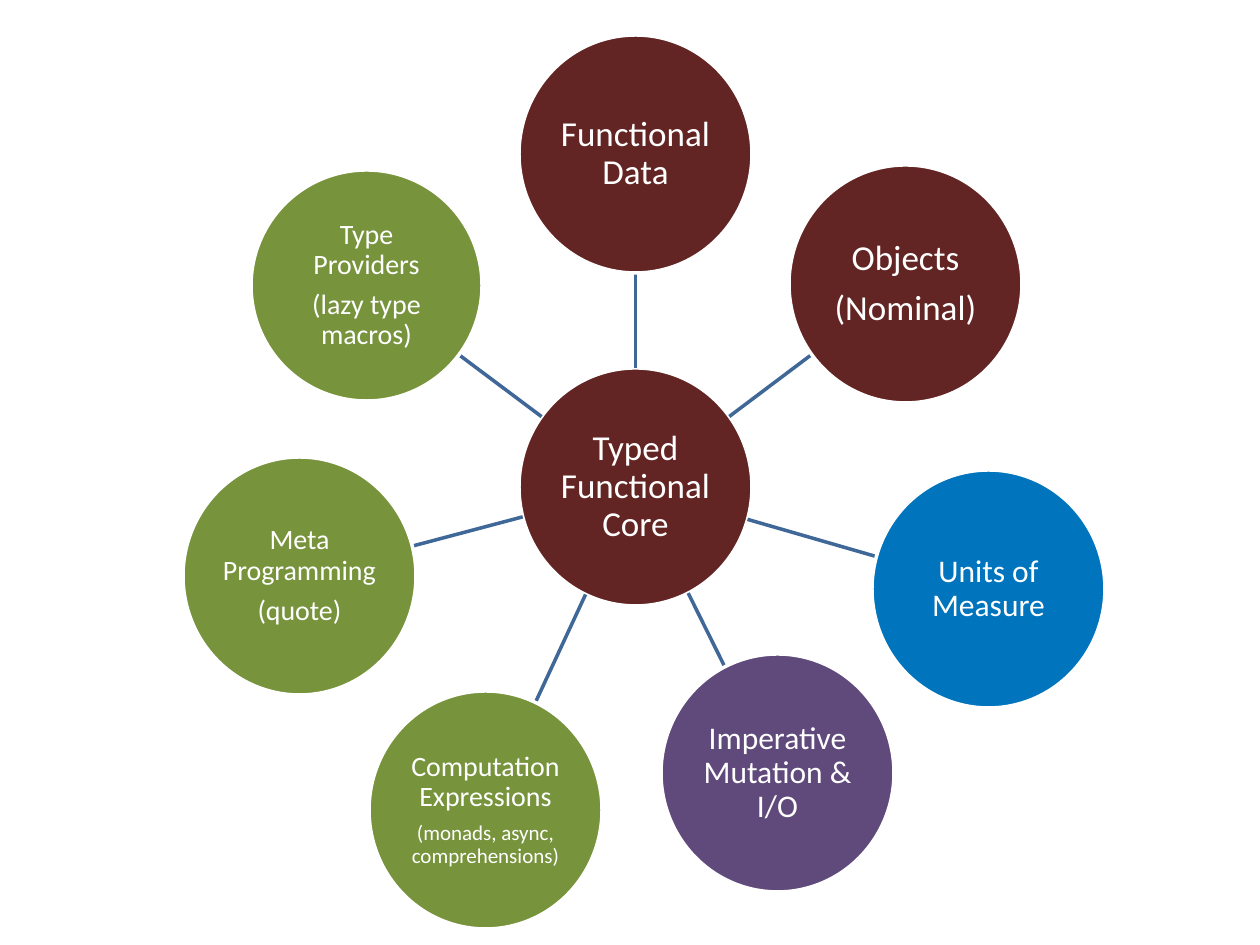
import math
from dataclasses import dataclass

import pptx
import pptx.dml.color
import pptx.enum.shapes
import pptx.enum.text
import pptx.oxml.ns
import pptx.util
from lxml import etree

PX = 914400 / 126


@dataclass(frozen=True)
class Theme:
    font: str = "Calibri"
    text: str = "FFFFFF"
    outline: str = "FFFFFF"
    spoke: str = "3F6797"
    core: str = "632523"
    units: str = "0074BC"
    imperative: str = "604A7B"
    meta: str = "77933C"
    line: int = 2
    large: int = 20
    medium: int = 18
    small: int = 16
    note: int = 12
    line_spacing: float = 0.9
    paragraph_gap: float = 0.35


THEME = Theme()
SIZE = (233, 238)
HUB = (519, 368, *SIZE)
HUB_TEXT = [("Typed\vFunctional Core", THEME.large)]

# box, fill, paragraphs with their type size; clockwise from the top
FEATURES = [
    ((519, 35, *SIZE), THEME.core, [("Functional Data", THEME.large)]),
    ((789, 165, *SIZE), THEME.core,
     [("Objects", THEME.large), ("(Nominal)", THEME.large)]),
    ((872, 470, *SIZE), THEME.units, [("Units of Measure", THEME.medium)]),
    ((661, 654, *SIZE), THEME.imperative,
     [("Imperative Mutation & I/O", THEME.medium)]),
    ((369, 691, *SIZE), THEME.meta,
     [("Computation Expressions", THEME.small),
      ("(monads, async, comprehensions)", THEME.note)]),
    ((183, 457, *SIZE), THEME.meta,
     [("Meta Programming", THEME.small), ("(quote)", THEME.small)]),
    ((251, 170, 231, 231), THEME.meta,
     [("Type Providers", THEME.small), ("(lazy type macros)", THEME.small)]),
]


def emu(px):
    return pptx.util.Emu(round(px * PX))


def rgb(value):
    return pptx.dml.color.RGBColor.from_string(value)


def center(box):
    x, y, w, h = box
    return x + w / 2, y + h / 2


def rim_point(box, target):
    """Point where the ellipse in box meets the ray from its centre to target."""
    cx, cy = center(box)
    dx, dy = target[0] - cx, target[1] - cy
    t = 1 / math.hypot(dx / (box[2] / 2), dy / (box[3] / 2))
    return cx + t * dx, cy + t * dy


def add_spoke(s, hub, box):
    ends = (*rim_point(hub, center(box)), *rim_point(box, center(hub)))
    spoke = s.shapes.add_connector(
        pptx.enum.shapes.MSO_CONNECTOR.STRAIGHT, *map(emu, ends))
    spoke.line.color.rgb = rgb(THEME.spoke)
    spoke.line.width = pptx.util.Pt(THEME.line)
    etree.SubElement(spoke._element.spPr, pptx.oxml.ns.qn("a:effectLst"))


def add_circle(s, box, fill, paragraphs):
    sp = s.shapes.add_shape(pptx.enum.shapes.MSO_SHAPE.OVAL, *map(emu, box))
    sp.shadow.inherit = False
    sp.fill.solid()
    sp.fill.fore_color.rgb = rgb(fill)
    sp.line.color.rgb = rgb(THEME.outline)
    sp.line.width = pptx.util.Pt(THEME.line)

    tf = sp.text_frame
    tf.word_wrap = True
    tf.vertical_anchor = pptx.enum.text.MSO_ANCHOR.MIDDLE
    tf.margin_left = tf.margin_top = tf.margin_right = tf.margin_bottom = emu(1)
    tf.text = "\n".join(text for text, _ in paragraphs)
    for p, (_, size) in zip(tf.paragraphs, paragraphs):
        p.alignment = pptx.enum.text.PP_ALIGN.CENTER
        p.line_spacing = THEME.line_spacing
        for r in p.runs:
            r.font.name = THEME.font
            r.font.size = pptx.util.Pt(size)
            r.font.color.rgb = rgb(THEME.text)
    for p, (_, size) in zip(tf.paragraphs[:-1], paragraphs):
        p.space_after = pptx.util.Pt(THEME.paragraph_gap * size)


def add_radial_diagram(s, hub, hub_text, features):
    add_circle(s, hub, THEME.core, hub_text)
    for box, fill, paragraphs in features:
        add_spoke(s, hub, box)
        add_circle(s, box, fill, paragraphs)


def main():
    prs = pptx.Presentation()
    prs.slide_width, prs.slide_height = emu(1260), emu(945)
    s = prs.slides.add_slide(prs.slide_layouts[6])
    add_radial_diagram(s, HUB, HUB_TEXT, FEATURES)
    prs.save("out.pptx")


if __name__ == "__main__":
    main()
